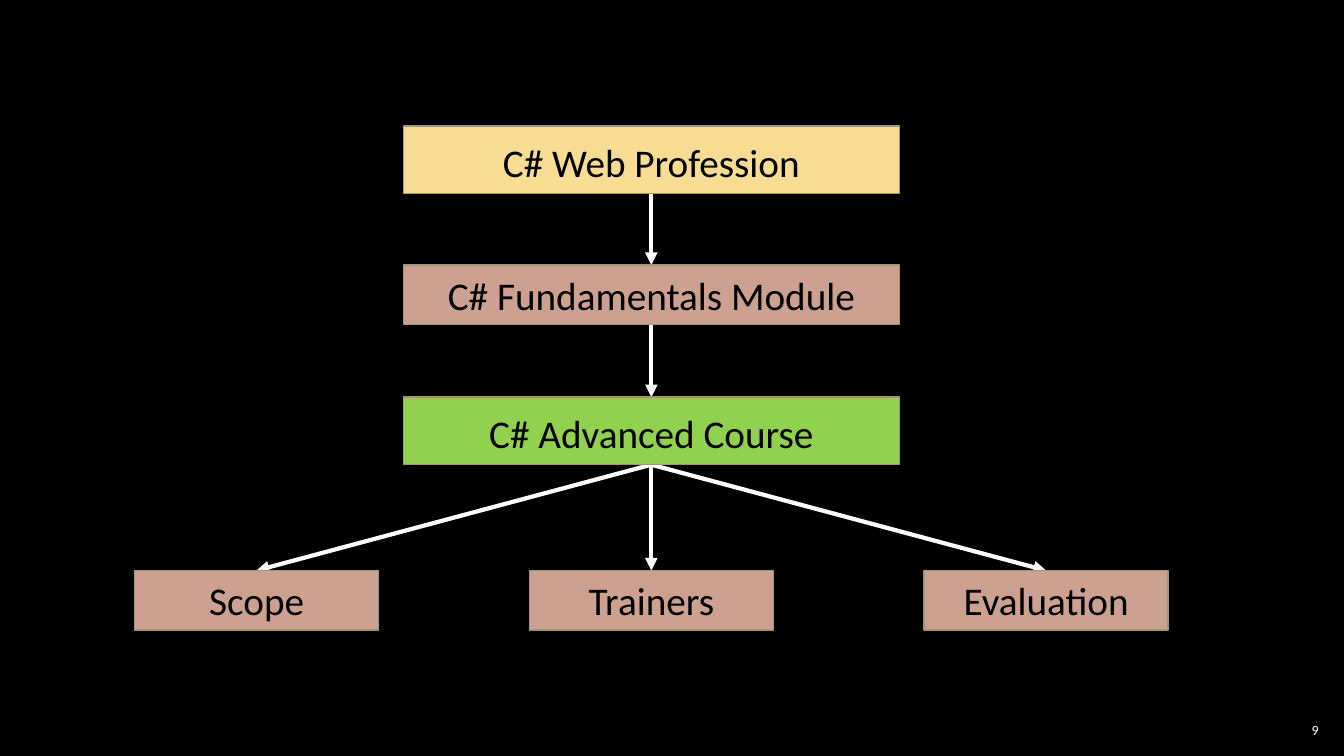
from lxml.etree import SubElement
from pptx import Presentation
from pptx.dml.color import RGBColor
from pptx.enum.shapes import MSO_CONNECTOR, MSO_SHAPE
from pptx.enum.text import MSO_ANCHOR, PP_ALIGN
from pptx.oxml.ns import qn
from pptx.util import Inches, Pt

CENTER = 6.46
BRANCH_STEP = 3.915
WIDE, NARROW = 4.92, 2.42
TALL, SHORT = 0.67, 0.59
BOTTOM_SIDE, TOP_SIDE = 2, 0
FONT = "Calibri"
YELLOW, ROSE, GREEN = "F7DD93", "CCA192", "92D050"
WHITE, BLACK, BORDER = "FFFFFF", "000000", "A19574"


def color(value):
    return RGBColor.from_string(value)


def set_text(frame, text, size, text_color, align, anchor, insets):
    frame.word_wrap = True
    frame.vertical_anchor = anchor
    left, top, right, bottom = map(Inches, insets)
    frame.margin_left, frame.margin_top = left, top
    frame.margin_right, frame.margin_bottom = right, bottom
    paragraph = frame.paragraphs[0]
    paragraph.text = text
    paragraph.alignment = align
    paragraph.font.name = FONT
    paragraph.font.size = Pt(size)
    paragraph.font.color.rgb = color(text_color)
    return paragraph


def add_box(slide, text, top, fill, column=0, width=WIDE, height=SHORT):
    left = CENTER + column * BRANCH_STEP - width / 2
    shape = slide.shapes.add_shape(
        MSO_SHAPE.RECTANGLE, Inches(left), Inches(top), Inches(width), Inches(height))
    shape.shadow.inherit = False
    shape.fill.solid()
    shape.fill.fore_color.rgb = color(fill)
    shape.line.color.rgb = color(BORDER)
    shape.line.width = Pt(1)
    if height == TALL:
        anchor, insets = MSO_ANCHOR.TOP, (0.1, 0.12, 0.1, 0.05)
    else:
        anchor, insets = MSO_ANCHOR.MIDDLE, (0.1, 0, 0.1, 0)
    paragraph = set_text(
        shape.text_frame, text, 28, BLACK, PP_ALIGN.CENTER, anchor, insets)
    paragraph.space_before = paragraph.space_after = Pt(3)
    return shape


def add_arrow(slide, parent, child):
    connector = slide.shapes.add_connector(MSO_CONNECTOR.STRAIGHT, 0, 0, 0, 0)
    connector.begin_connect(parent, BOTTOM_SIDE)
    connector.end_connect(child, TOP_SIDE)
    connector.line.color.rgb = color(WHITE)
    connector.line.width = Pt(3)
    SubElement(connector.line._get_or_add_ln(), qn("a:tailEnd"), type="triangle")
    SubElement(connector.element.spPr, qn("a:effectLst"))
    slide.shapes.element.insert(2, connector.element)


def add_page_number(slide, number):
    box = slide.shapes.add_textbox(
        Inches(12.65), Inches(7.14), Inches(0.47), Inches(0.21))
    set_text(box.text_frame, number, 10, WHITE, PP_ALIGN.RIGHT,
             MSO_ANCHOR.MIDDLE, (0.04,) * 4)


def main():
    presentation = Presentation()
    presentation.slide_width = Inches(13.33)
    presentation.slide_height = Inches(7.5)
    slide = presentation.slides.add_slide(presentation.slide_layouts[6])
    slide.background.fill.solid()
    slide.background.fill.fore_color.rgb = color(BLACK)

    profession = add_box(slide, "C# Web Profession", 1.25, YELLOW, height=TALL)
    module = add_box(slide, "C# Fundamentals Module", 2.63, ROSE)
    course = add_box(slide, "C# Advanced Course", 3.94, GREEN, height=TALL)
    add_arrow(slide, profession, module)
    add_arrow(slide, module, course)
    for column, topic in enumerate(("Scope", "Trainers", "Evaluation"), start=-1):
        branch = add_box(slide, topic, 5.66, ROSE, column, NARROW)
        add_arrow(slide, course, branch)

    add_page_number(slide, "9")
    presentation.save("out.pptx")


if __name__ == "__main__":
    main()
